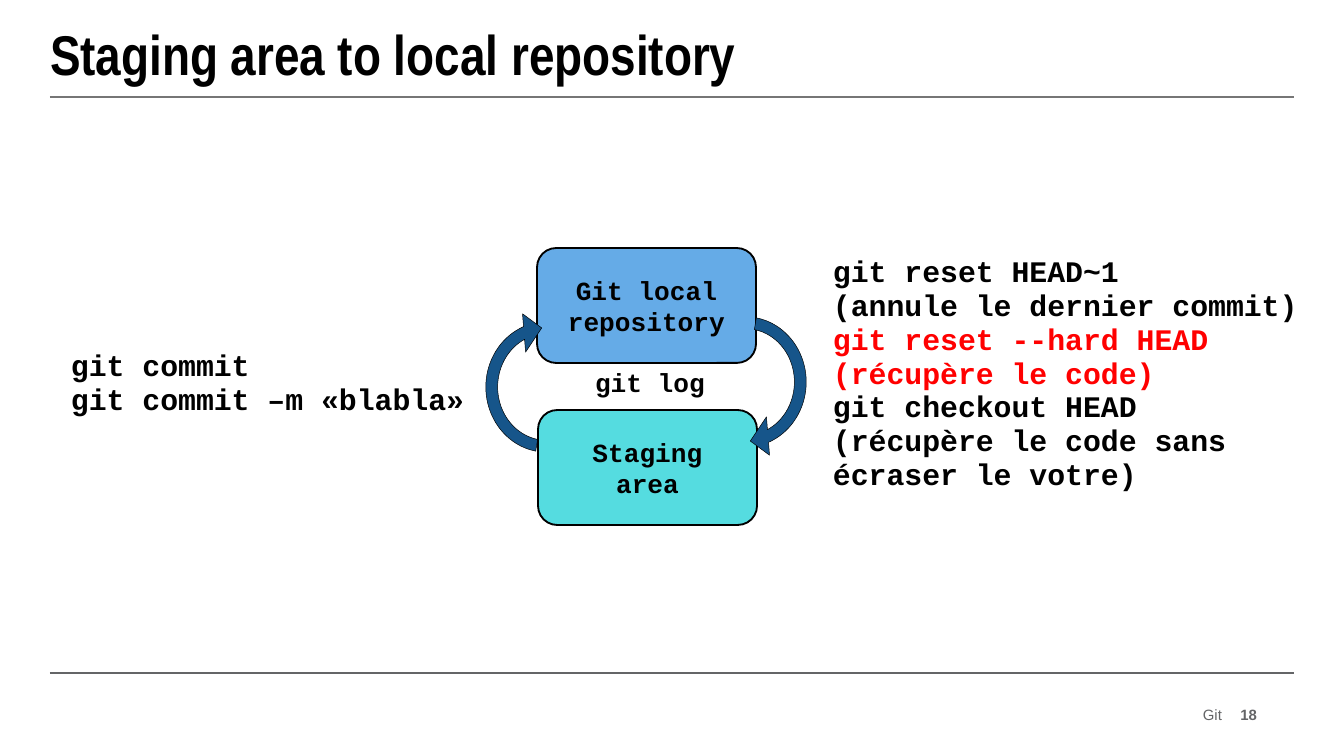
from lxml import etree
from pptx import Presentation
from pptx.dml.color import RGBColor
from pptx.enum.shapes import MSO_CONNECTOR, MSO_SHAPE
from pptx.enum.text import MSO_ANCHOR, MSO_AUTO_SIZE, PP_ALIGN
from pptx.oxml.ns import qn
from pptx.util import Pt

ROUNDED = MSO_SHAPE.ROUNDED_RECTANGLE
CIRCULAR_ARROW = MSO_SHAPE.CIRCULAR_ARROW
STRAIGHT = MSO_CONNECTOR.STRAIGHT
MIDDLE = MSO_ANCHOR.MIDDLE
NO_AUTOFIT = MSO_AUTO_SIZE.NONE
LEFT, CENTER, RIGHT = PP_ALIGN.LEFT, PP_ALIGN.CENTER, PP_ALIGN.RIGHT

BLACK = RGBColor(0x00, 0x00, 0x00)
RED = RGBColor(0xFF, 0x00, 0x00)
GREY = RGBColor(0x64, 0x65, 0x67)
RULE_GREY = RGBColor(0x76, 0x76, 0x76)
REPOSITORY_BLUE = RGBColor(0x65, 0xAB, 0xE7)
STAGING_TURQUOISE = RGBColor(0x55, 0xDC, 0xE0)
ARROW_BLUE = RGBColor(0x16, 0x55, 0x8A)

TITLE_FONT = {"name": "Arial Narrow", "size": Pt(30), "bold": True}
COMMAND_FONT = {"name": "Courier New", "size": Pt(16), "bold": True}
STAGE_FONT = {"name": "Courier New", "size": Pt(14), "bold": True}
FOOTER_FONT = {"name": "Arial", "size": Pt(8), "bold": False}
NUMBER_FONT = {**FOOTER_FONT, "bold": True}

EMU_PER_PX = 914400 / 134.4


def px(*lengths):
    return [round(length * EMU_PER_PX) for length in lengths]


def write(frame, lines, font_format, align, margin=0):
    """Fill a text frame with (text, colour) paragraphs."""
    frame.word_wrap = True
    frame.vertical_anchor = MIDDLE
    for side in ("left", "top", "right", "bottom"):
        setattr(frame, f"margin_{side}", px(margin)[0])
    for i, (text, color) in enumerate(lines):
        paragraph = frame.add_paragraph() if i else frame.paragraphs[0]
        paragraph.text = text
        paragraph.alignment = align
        for attribute, value in font_format.items():
            setattr(paragraph.font, attribute, value)
        paragraph.font.color.rgb = color


prs = Presentation()
prs.slide_width, prs.slide_height = px(1344, 756)
slide = prs.slides.add_slide(prs.slide_layouts[5])
shapes = slide.shapes

# Title
title = shapes.title
title.left, title.top, title.width, title.height = px(50, 12, 1243, 82)
write(title.text_frame, [("Staging area to local repository", BLACK)], TITLE_FONT, LEFT)
title.text_frame.auto_size = NO_AUTOFIT

# Rules below the title and above the footer
for y, color in ((97, RULE_GREY), (673, GREY)):
    rule = shapes.add_connector(STRAIGHT, *px(50, y, 1294, y))
    rule.line.color.rgb = color
    rule.line.width = Pt(1)
    etree.SubElement(rule._element.spPr, qn("a:effectLst"))

# Command tables: place, left margin, font, lines
command_tables = [
    ((566, 364, 211, 46), 29, STAGE_FONT, [("git log", BLACK)]),
    ((58, 345, 434, 84), 13, COMMAND_FONT, [
        ("git commit", BLACK),
        ("git commit –m «blabla»", BLACK),
    ]),
    ((820, 251, 508, 275), 13, COMMAND_FONT, [
        ("git reset HEAD~1", BLACK),
        ("(annule le dernier commit)", BLACK),
        ("git reset --hard HEAD", RED),
        ("(récupère le code)", RED),
        ("git checkout HEAD", BLACK),
        ("(récupère le code sans écraser le votre)", BLACK),
    ]),
]
for place, left_margin, font_format, lines in command_tables:
    cell = shapes.add_table(1, 1, *px(*place)).table.cell(0, 0)
    cell.fill.background()
    cell.margin_left = px(left_margin)[0]
    for i, (text, color) in enumerate(lines):
        paragraph = cell.text_frame.add_paragraph() if i else cell.text_frame.paragraphs[0]
        paragraph.text = text
        for attribute, value in font_format.items():
            setattr(paragraph.font, attribute, value)
        paragraph.font.color.rgb = color

# Stages, each followed by the arrow that leads to or from it
stages = [
    ("Git local repository", (537, 248), REPOSITORY_BLUE, (468, 313), 270),
    ("Staging area", (538, 410), STAGING_TURQUOISE, (667, 308), 90),
]
for name, stage_at, stage_fill, arrow_at, rotation in stages:
    stage = shapes.add_shape(ROUNDED, *px(*stage_at, 219, 115))
    write(stage.text_frame, [(name, BLACK)], STAGE_FONT, CENTER, margin=13)

    arrow = shapes.add_shape(CIRCULAR_ARROW, *px(*arrow_at, 157, 148))
    arrow.rotation = rotation
    for i, value in enumerate((0.08, 10.76, 202.48, 113.73, 0.13)):
        arrow.adjustments[i] = value

    for shape, fill, line_width in ((stage, stage_fill, 1), (arrow, ARROW_BLUE, 0.25)):
        shape.shadow.inherit = False
        shape.fill.solid()
        shape.fill.fore_color.rgb = fill
        shape.line.color.rgb = BLACK
        shape.line.width = Pt(line_width)

# Footer and slide number
for text, place, font_format in (
    ("Git", (926, 705, 296, 20), FOOTER_FONT),
    ("18", (1230, 705, 27, 20), NUMBER_FONT),
):
    footer = shapes.add_textbox(*px(*place))
    write(footer.text_frame, [(text, GREY)], font_format, RIGHT)

prs.save("out.pptx")
